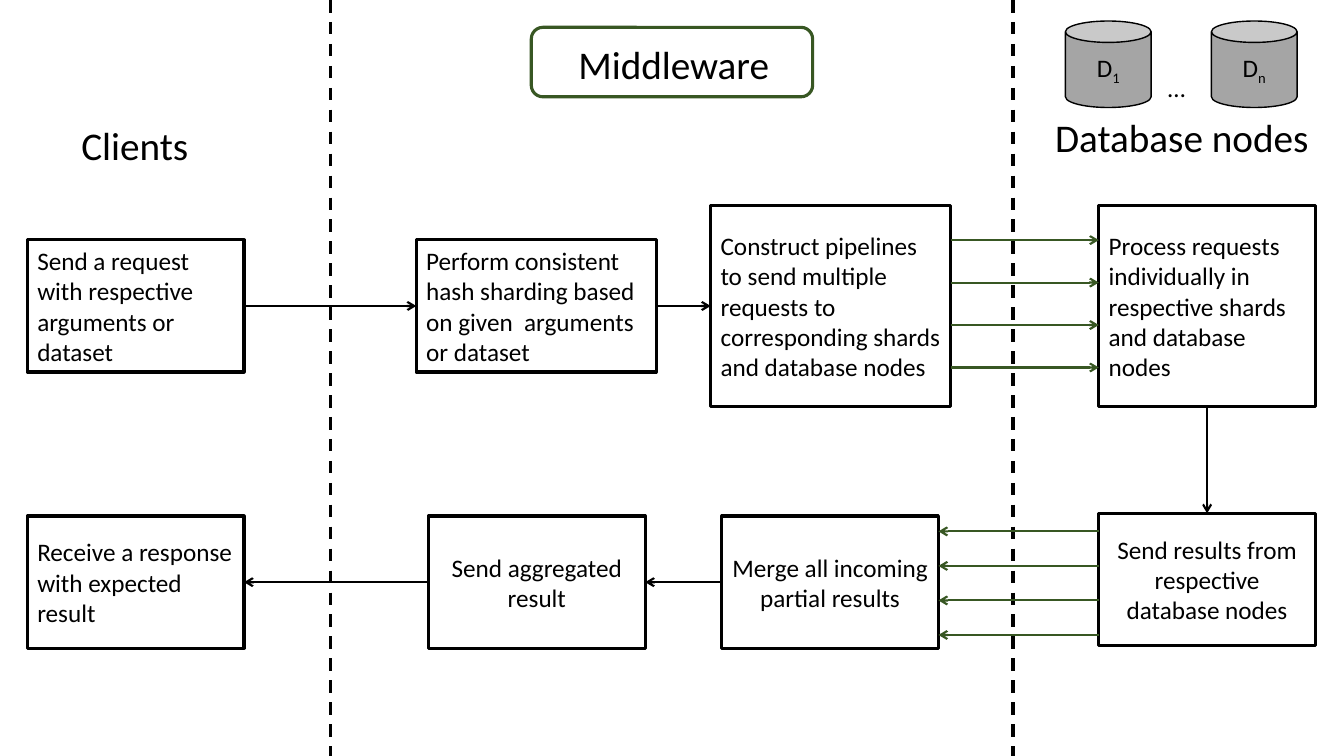
from lxml import etree
from pptx import Presentation
from pptx.dml.color import RGBColor
from pptx.enum import dml, shapes, text
from pptx.oxml import ns
from pptx.util import Cm, Pt

BLACK = RGBColor(0x00, 0x00, 0x00)
WHITE = RGBColor(0xFF, 0xFF, 0xFF)
GREEN = RGBColor(0x38, 0x57, 0x23)
GREY = RGBColor(0xA5, 0xA5, 0xA5)
FONT = "Calibri"
LEFT, CENTER = text.PP_ALIGN.LEFT, text.PP_ALIGN.CENTER
SHAPE = shapes.MSO_SHAPE
SLIDE_W, SLIDE_H = 33.87, 19.05

# Column edges and row centres, in cm
CLIENT_X, NODE_X = 0.69, 27.69
BOX_W, WIDE_W = 5.46, 6.05
BOX_H, TALL_H = 3.33, 5.05
REQUEST_Y, RESPONSE_Y = 7.71, 14.67


def write(sp, words, size, align):
    p = sp.text_frame.paragraphs[0]
    p.alignment = align
    p.font.name, p.font.size = FONT, Pt(size)
    p.font.color.rgb = BLACK
    p.add_run().text = words
    return p


def add_box(slide, kind, box, words, size=18, align=LEFT,
            fill=WHITE, line=BLACK, width=2.25):
    sp = slide.shapes.add_shape(kind, *map(Cm, box))
    sp.shadow.inherit = False
    sp.fill.solid()
    sp.fill.fore_color.rgb = fill
    sp.line.color.rgb = line
    sp.line.width = Pt(width)
    sp.text_frame.word_wrap = True
    sp.text_frame.vertical_anchor = text.MSO_ANCHOR.MIDDLE
    write(sp, words, size, align)
    return sp


def add_label(slide, box, words, size):
    sp = slide.shapes.add_textbox(*map(Cm, box))
    sp.text_frame.word_wrap = False
    write(sp, words, size, LEFT)


def add_line(slide, x1, y1, x2, y2, color=BLACK, width=1.5, arrow=True):
    line = slide.shapes.add_connector(
        shapes.MSO_CONNECTOR.STRAIGHT, Cm(x1), Cm(y1), Cm(x2), Cm(y2))
    line.line.color.rgb = color
    line.line.width = Pt(width)
    if arrow:
        etree.SubElement(line.line._get_or_add_ln(), ns.qn("a:tailEnd"), type="arrow")
    etree.SubElement(line._element.spPr, ns.qn("a:effectLst"))
    return line


def add_fan(slide, x1, x2, top, step):
    """Four parallel green arrows."""
    for i in range(4):
        y = top + i * step
        add_line(slide, x1, y, x2, y, GREEN)


def add_row(slide, center, steps):
    """Boxes in one row, each centred on the row unless shifted."""
    for x, w, h, shift, align, words in steps:
        box = (x, center - h / 2 + shift, w, h)
        add_box(slide, SHAPE.RECTANGLE, box, words, align=align)


def add_dividers(slide, top, height):
    for x in (8.33, 25.53):
        line = add_line(slide, x, top, x, top + height, width=2.25, arrow=False)
        line.line.dash_style = dml.MSO_LINE.DASH


def add_databases(slide, left, top):
    for dx, index in ((0, "1"), (3.68, "n")):
        sp = add_box(slide, SHAPE.CAN, (left + dx, top, 2.16, 2.18), "D",
                     align=CENTER, fill=GREY, width=1)
        r = sp.text_frame.paragraphs[0].add_run()
        r.text = index
        r.font._element.set("baseline", "-25000")
    add_label(slide, (left + 2.33, top + 1.17, 1.27, 1.22), "…", 18)


def add_headings(slide):
    sp = add_box(slide, SHAPE.ROUNDED_RECTANGLE, (13.39, 0.69, 7.09, 1.75),
                 "Middleware", 28, CENTER, line=GREEN)
    sp.text_frame.margin_left = Cm(0.34)
    p = sp.text_frame.paragraphs[0]
    p.line_spacing, p.space_after = 1.07, Pt(8)
    add_label(slide, (1.8, 2.92, 3.23, 1.45), "Clients", 28)
    add_label(slide, (26.34, 2.74, 6.96, 1.45), "Database nodes", 28)


def add_requests(slide, y):
    hash_x, pipe_x = 10.49, 17.91
    add_row(slide, y, [
        (CLIENT_X, BOX_W, BOX_H, 0, LEFT,
         "Send a request with respective arguments or dataset"),
        (hash_x, WIDE_W, BOX_H, 0, LEFT,
         "Perform consistent hash sharding based on given  arguments or dataset"),
        (pipe_x, WIDE_W, TALL_H, 0, LEFT,
         "Construct pipelines to send multiple requests to corresponding shards "
         "and database nodes"),
        (NODE_X, BOX_W, TALL_H, 0, LEFT,
         "Process requests individually in respective shards and database nodes"),
    ])
    add_line(slide, CLIENT_X + BOX_W, y, hash_x, y)
    add_line(slide, hash_x + WIDE_W, y, pipe_x, y)
    add_fan(slide, pipe_x + WIDE_W, NODE_X, y - 1.66, 1.07)


def add_responses(slide, y):
    send_x, merge_x = 10.8, 18.19
    add_row(slide, y, [
        (CLIENT_X, BOX_W, BOX_H, 0, LEFT, "Receive a response with expected result"),
        (send_x, BOX_W, BOX_H, 0, CENTER, "Send aggregated result"),
        (merge_x, BOX_W, BOX_H, 0, CENTER, "Merge all incoming partial results"),
        (NODE_X, BOX_W, BOX_H, -0.07, CENTER,
         "Send results from respective database nodes"),
    ])
    add_line(slide, send_x, y, CLIENT_X + BOX_W, y)
    add_line(slide, merge_x, y, send_x + BOX_W, y)
    add_fan(slide, NODE_X, merge_x + BOX_W, y - 1.28, 0.87)


def main():
    prs = Presentation()
    prs.slide_width, prs.slide_height = Cm(SLIDE_W), Cm(SLIDE_H)
    slide = prs.slides.add_slide(prs.slide_layouts[6])

    # Columns and their headings
    add_dividers(slide, 0, SLIDE_H)
    add_headings(slide)
    add_databases(slide, 26.85, 0.53)

    # Request path, then response path back to the client
    add_requests(slide, REQUEST_Y)
    add_responses(slide, RESPONSE_Y)
    node_mid = NODE_X + BOX_W / 2
    add_line(slide, node_mid, REQUEST_Y + TALL_H / 2,
             node_mid, RESPONSE_Y - BOX_H / 2 - 0.07)

    prs.save("out.pptx")


if __name__ == "__main__":
    main()
